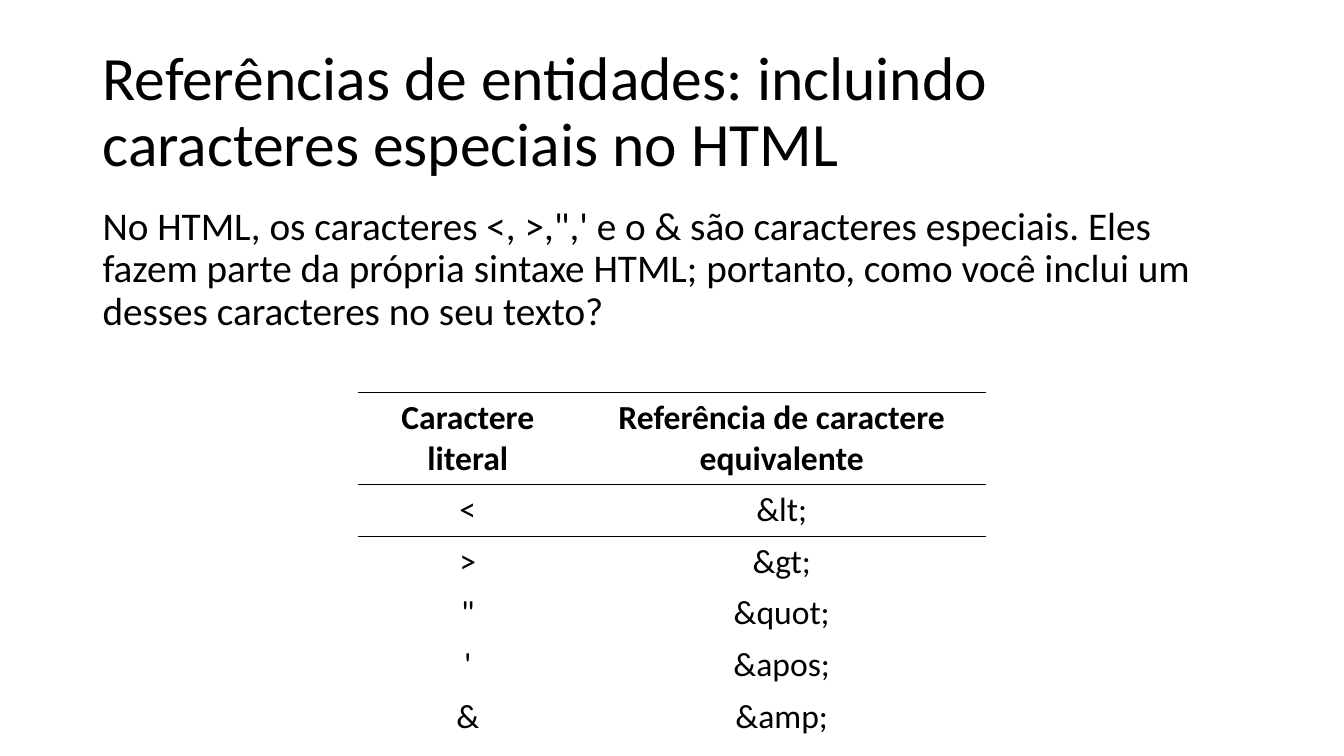
from dataclasses import dataclass

from pptx import Presentation
from pptx.dml.color import RGBColor
from pptx.enum.text import MSO_ANCHOR as Anchor, MSO_AUTO_SIZE as AutoSize, PP_ALIGN as Align
from pptx.oxml.ns import qn
from pptx.oxml.xmlchemy import OxmlElement
from pptx.util import Cm, Pt

TITLE = "Referências de entidades: incluindo caracteres especiais no HTML"
BODY = (
    "No HTML, os caracteres <, >,\",' e o & são caracteres especiais. "
    "Eles fazem parte da própria sintaxe HTML; portanto, como você inclui um "
    "desses caracteres no seu texto?"
)
ENTITIES = [
    ("Caractere literal", "Referência de caractere equivalente"),
    ("<", "&lt;"),
    (">", "&gt;"),
    ('"', "&quot;"),
    ("'", "&apos;"),
    ("&", "&amp;"),
]


@dataclass(frozen=True)
class Theme:
    font: str = "Calibri"
    ink: str = "000000"
    paper: str = "FFFFFF"
    title_size: int = 44
    body_size: int = 28
    table_size: int = 24
    rule_width: int = 1


THEME = Theme()
PLAIN_TABLE_STYLE = "{2D5ABB26-0587-4C30-8999-92F81FD0307C}"
MARGIN, TEXT_WIDTH = Cm(2.33), Cm(29.21)
TABLE_LEFT, TABLE_TOP = Cm(9.02), Cm(9.89)
COLUMN_WIDTHS = [Cm(5.54), Cm(10.28)]
HEADER_HEIGHT, ROW_HEIGHT = Cm(2.32), Cm(1.3)


def format_text(text_frame, size, align, bold=False):
    for paragraph in text_frame.paragraphs:
        paragraph.alignment = align
        for run in paragraph.runs:
            font = run.font
            font.name, font.size, font.bold = THEME.font, Pt(size), bold
            font.color.rgb = RGBColor.from_string(THEME.ink)


def fill_placeholder(shape, text, top, height, size, anchor):
    shape.left, shape.top, shape.width, shape.height = MARGIN, top, TEXT_WIDTH, height
    text_frame = shape.text_frame
    text_frame.text = text
    text_frame.word_wrap = True
    text_frame.auto_size = AutoSize.NONE
    text_frame.vertical_anchor = anchor
    text_frame.paragraphs[0].line_spacing = 0.9
    format_text(text_frame, size, Align.LEFT)


def remove_bullet(paragraph):
    properties = paragraph._p.get_or_add_pPr()
    properties.set("marL", "0")
    properties.set("indent", "0")
    properties.append(OxmlElement("a:buNone"))


def add_rule(cell, tag):
    """Draw one edge of a cell; must come before the cell's fill is set."""
    line = OxmlElement(tag)
    line.set("w", str(Pt(THEME.rule_width)))
    fill = OxmlElement("a:solidFill")
    color = OxmlElement("a:srgbClr")
    color.set("val", THEME.ink)
    fill.append(color)
    line.append(fill)
    cell._tc.get_or_add_tcPr().append(line)


def add_entity_table(slide):
    frame = slide.shapes.add_table(
        len(ENTITIES), len(COLUMN_WIDTHS), TABLE_LEFT, TABLE_TOP,
        sum(COLUMN_WIDTHS), HEADER_HEIGHT + ROW_HEIGHT * (len(ENTITIES) - 1),
    )
    frame.element.find(".//" + qn("a:tableStyleId")).text = PLAIN_TABLE_STYLE
    table = frame.table
    table.horz_banding = False
    for column, width in zip(table.columns, COLUMN_WIDTHS):
        column.width = width
    for row_index, texts in enumerate(ENTITIES):
        is_header = row_index == 0
        row = table.rows[row_index]
        row.height = HEADER_HEIGHT if is_header else ROW_HEIGHT
        edges = {0: ("a:lnT", "a:lnB"), 1: ("a:lnT",)}.get(row_index, ())
        for cell, text in zip(row.cells, texts):
            cell.text_frame.text = text
            cell.vertical_anchor = Anchor.MIDDLE
            format_text(cell.text_frame, THEME.table_size, Align.CENTER, is_header)
            for edge in edges:
                add_rule(cell, edge)
            cell.fill.solid()
            cell.fill.fore_color.rgb = RGBColor.from_string(THEME.paper)


def main():
    presentation = Presentation()
    presentation.slide_width, presentation.slide_height = Cm(33.87), Cm(19.05)
    slide = presentation.slides.add_slide(presentation.slide_layouts[1])
    title, body = slide.placeholders
    fill_placeholder(title, TITLE, Cm(1.02), Cm(3.68), THEME.title_size, Anchor.MIDDLE)
    fill_placeholder(body, BODY, Cm(5.08), Cm(4.19), THEME.body_size, Anchor.TOP)
    paragraph = body.text_frame.paragraphs[0]
    paragraph.space_before = Pt(10)
    remove_bullet(paragraph)
    add_entity_table(slide)
    presentation.save("out.pptx")


if __name__ == "__main__":
    main()
